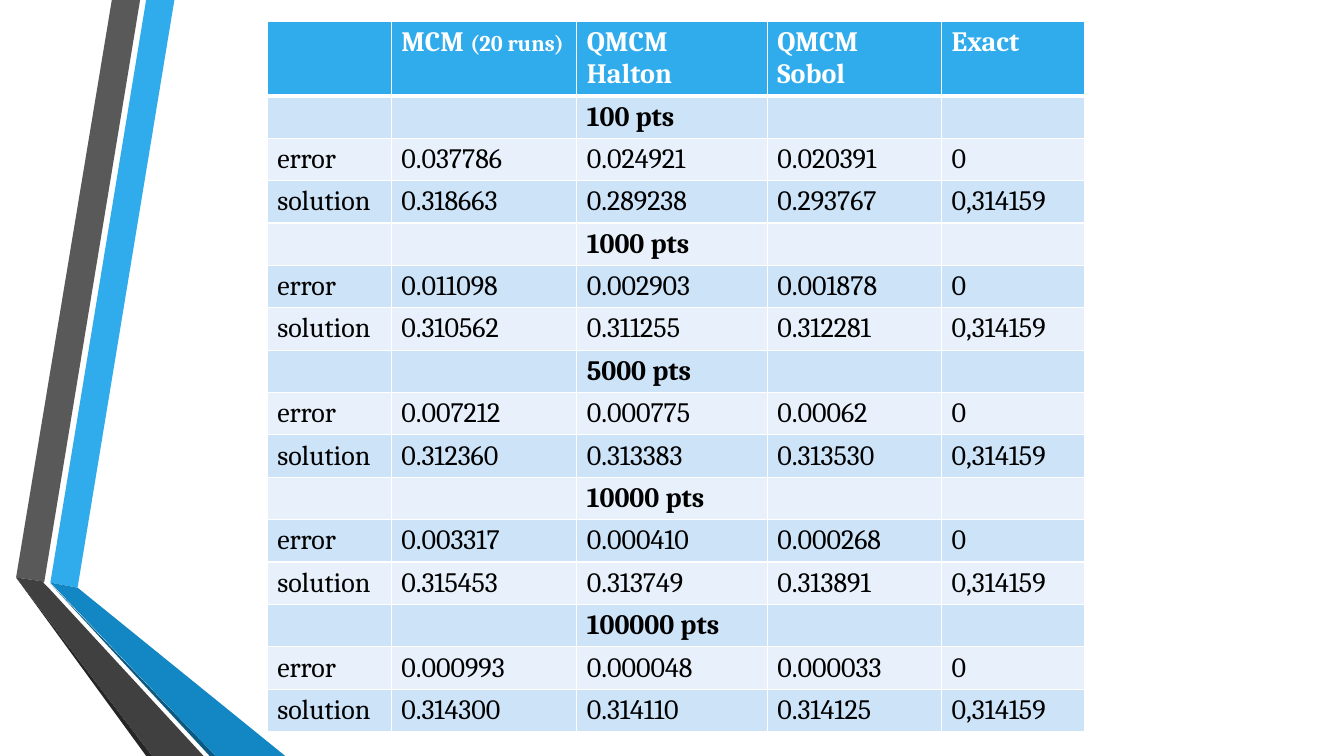
"""Build a slide with a table comparing MCM and QMCM results."""
from dataclasses import dataclass
from lxml.etree import SubElement as Sub
from pptx import Presentation
from pptx.dml.color import RGBColor as Rgb
from pptx.oxml.ns import qn
from pptx.util import Pt

PX = 9144


@dataclass(frozen=True)
class Theme:
    font: str = "Cambria"
    size: int = 20
    small: int = 16
    sky: str = "30ACEC"
    blue: str = "1287C3"
    navy: str = "0C5A82"
    gray: str = "595959"
    dark: str = "404040"
    coal: str = "262626"
    white: str = "FFFFFF"
    black: str = "000000"
    bands: tuple = ("E8F1FB", "CDE3F8")


def draw(slide, color, points):
    pen = slide.shapes.build_freeform(*points[0], scale=PX)
    pen.add_line_segments(points[1:], close=True)
    band = pen.convert_to_shape()
    band.shadow.inherit = False
    band.fill.solid()
    band.fill.fore_color.rgb = Rgb.from_string(color)
    band.line.fill.background()


def edge(cell, side, width, color):
    line = Sub(cell._tc.get_or_add_tcPr(), qn(f"a:ln{side}"), w=str(Pt(width)))
    Sub(Sub(line, qn("a:solidFill")), qn("a:srgbClr"), val=color)


theme = Theme()
deck = Presentation()
deck.slide_width, deck.slide_height = 1333 * PX, 750 * PX
slide = deck.slides.add_slide(deck.slide_layouts[6])

bands = [
    (theme.sky, [(50, 578), (77, 583), (173, 0), (145, 0)]),
    (theme.gray, [(139, 0), (111, 0), (16, 573), (44, 577)]),
    (theme.coal, [(16, 573), (145, 750), (151, 750)]),
    (theme.navy, [(50, 579), (208, 750), (214, 750)]),
    (theme.blue, [(50, 578), (214, 750), (283, 750), (77, 583)]),
    (theme.dark, [(202, 750), (48, 583), (43, 578), (44, 577), (16, 573), (151, 750)]),
]
for color, points in bands:
    draw(slide, color, points)

results = [
    ("100 pts", ("0.037786", "0.024921", "0.020391"), ("0.318663", "0.289238", "0.293767")),
    ("1000 pts", ("0.011098", "0.002903", "0.001878"), ("0.310562", "0.311255", "0.312281")),
    ("5000 pts", ("0.007212", "0.000775", "0.00062"), ("0.312360", "0.313383", "0.313530")),
    ("10000 pts", ("0.003317", "0.000410", "0.000268"), ("0.315453", "0.313749", "0.313891")),
    ("100000 pts", ("0.000993", "0.000048", "0.000033"), ("0.314300", "0.314110", "0.314125")),
]
rows = [("", "MCM ", "QMCM Halton", "QMCM Sobol", "Exact")]
for count, errors, values in results:
    rows.append(("", "", count, "", ""))
    rows.append(("error", *errors, "0"))
    rows.append(("solution", *values, "0,314159"))

widths = [123, 184, 189, 173, 142]
head, step = 74, 42
high = head + step * (len(rows) - 1)
frame = slide.shapes.add_table(
    len(rows), len(widths), 265 * PX, 21 * PX, sum(widths) * PX, high * PX)
table = frame.table
for col, width in zip(table.columns, widths):
    col.width = width * PX

for i, texts in enumerate(rows):
    table.rows[i].height = (step if i else head) * PX
    fill = theme.bands[i % 2] if i else theme.sky
    ink = theme.black if i else theme.white
    for j, text in enumerate(texts):
        cell = table.cell(i, j)
        for side in "LRTB":
            thick = (i, side) in ((0, "B"), (1, "T"))
            edge(cell, side, 3 if thick else 1, theme.white)
        cell.fill.solid()
        cell.fill.fore_color.rgb = Rgb.from_string(fill)
        if not text:
            continue
        para = cell.text_frame.paragraphs[0]
        para.text = text
        if (i, j) == (0, 1):
            para.add_run().text = "(20 runs)"
        for k, run in enumerate(para.runs):
            font = run.font
            font.name = theme.font
            font.size = Pt(theme.small if k else theme.size)
            font.bold = i % 3 == 1 or i == 0
            font.color.rgb = Rgb.from_string(ink)

deck.save("out.pptx")
